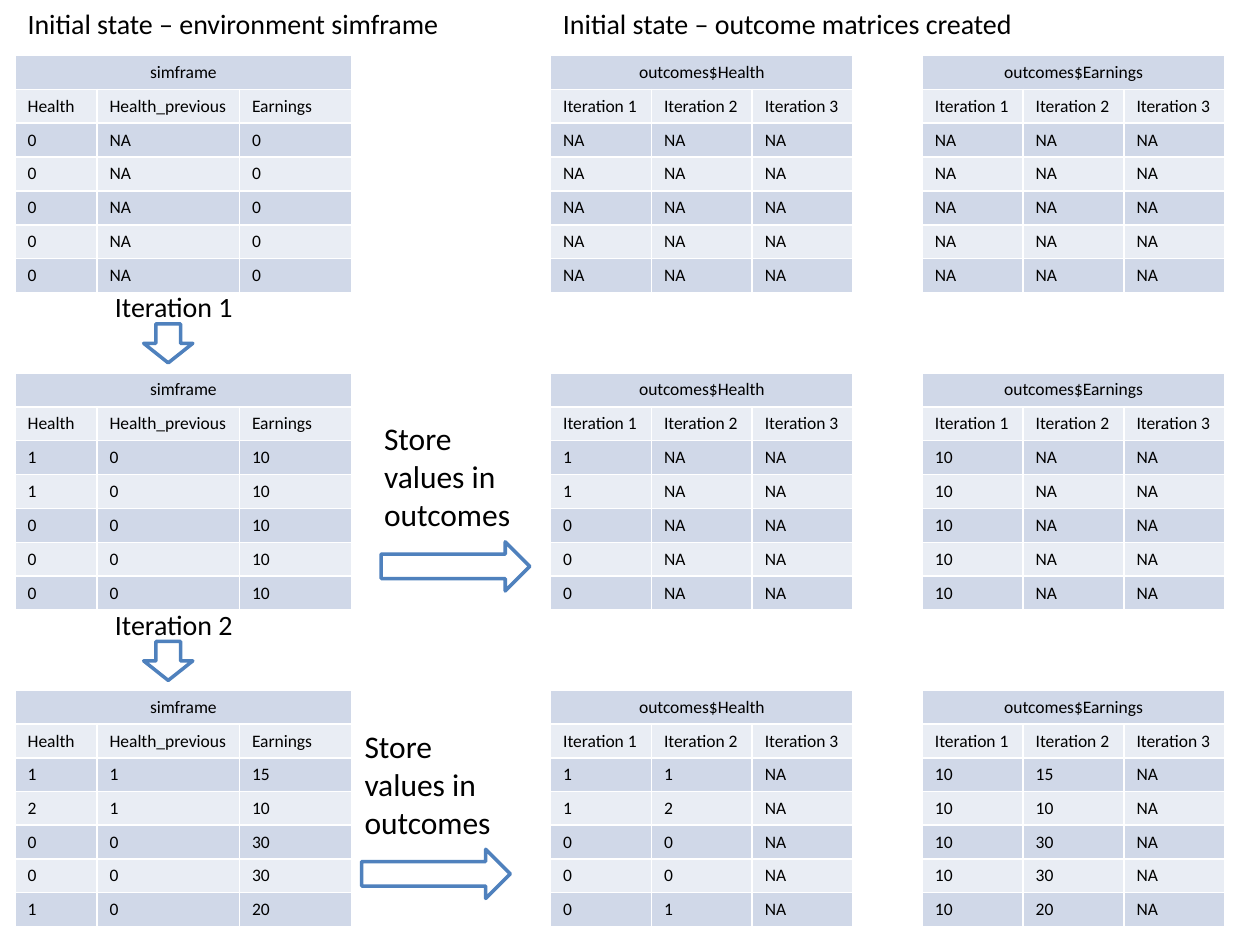
import pptx
import pptx.dml.color
import pptx.enum.shapes
import pptx.enum.text
import pptx.oxml
import pptx.oxml.ns
import pptx.util

COLORS = {"dark_band": "D0D8E8", "light_band": "E9EDF4", "white": "FFFFFF",
          "text": "000000", "arrow": "4F81BD"}
COLUMNS, ROWS = 100, 75
ALIGN = pptx.enum.text.PP_ALIGN
SHAPE = pptx.enum.shapes.MSO_SHAPE


def color(name):
    return pptx.dml.color.RGBColor.from_string(COLORS[name])


class SlideBuilder:
    font_name = "Calibri"

    def __init__(self, presentation):
        self.slide = presentation.slides.add_slide(presentation.slide_layouts[6])
        self.column = presentation.slide_width / COLUMNS
        self.row = presentation.slide_height / ROWS

    def box(self, left, top, width, height):
        return (round(left * self.column), round(top * self.row),
                round(width * self.column), round(height * self.row))

    def style(self, paragraph, size, alignment=ALIGN.LEFT):
        paragraph.alignment = alignment
        paragraph.font.name = self.font_name
        paragraph.font.size = pptx.util.Pt(size)
        paragraph.font.color.rgb = color("text")

    def text(self, parent, text, box, size, alignment=ALIGN.LEFT):
        frame = parent.shapes.add_textbox(*self.box(*box)).text_frame
        frame.word_wrap = True
        frame.auto_size = pptx.enum.text.MSO_AUTO_SIZE.SHAPE_TO_FIT_TEXT
        frame.text = text
        self.style(frame.paragraphs[0], size, alignment)

    def arrow(self, parent, kind, box):
        shape = parent.shapes.add_shape(kind, *self.box(*box))
        shape.shadow.inherit = False
        shape.fill.solid()
        shape.fill.fore_color.rgb = color("white")
        shape.line.color.rgb = color("arrow")
        shape.line.width = pptx.util.Pt(2)

    def iteration_step(self, text, top):
        group = self.slide.shapes.add_group_shape()
        self.text(group, text, (2.8, top, 22, 3.7), 16, ALIGN.CENTER)
        self.arrow(group, SHAPE.DOWN_ARROW, (11.4, top + 3.2, 3.9, 3.1))

    def store_step(self, left, top):
        group = self.slide.shapes.add_group_shape()
        self.text(group, "Store values in outcomes", (left, top, 12.6, 10.1), 18)
        self.arrow(group, SHAPE.RIGHT_ARROW, (left + 0.75, top + 10.2, 11.8, 3.9))

    def cell(self, cell, text, fill, alignment):
        cell.text = str(text)
        self.style(cell.text_frame.paragraphs[0], 10, alignment)
        properties = cell._tc.get_or_add_tcPr()
        for side in ("lnL", "lnR", "lnT", "lnB"):
            properties.append(pptx.oxml.parse_xml(
                f'<a:{side} {pptx.oxml.ns.nsdecls("a")} w="12700"><a:solidFill>'
                f'<a:srgbClr val="{COLORS["white"]}"/></a:solidFill></a:{side}>'))
        cell.fill.solid()
        cell.fill.fore_color.rgb = color(fill)

    def table(self, left, top, widths, title, headings, records):
        lines = [(title, "", ""), headings, *records]
        row_height = 2.67
        box = self.box(left, top, sum(widths), row_height * len(lines))
        table = self.slide.shapes.add_table(len(lines), len(widths), *box).table
        table.first_row = table.horz_banding = False
        for column, width in zip(table.columns, widths):
            column.width = round(width * self.column)
        for index, values in enumerate(lines):
            table.rows[index].height = round(row_height * self.row)
            fill = "light_band" if index % 2 else "dark_band"
            alignment = ALIGN.LEFT if index else ALIGN.CENTER
            for position, value in enumerate(values):
                self.cell(table.cell(index, position), value, fill, alignment)
        table.cell(0, 0).merge(table.cell(0, len(widths) - 1))


UNSET = ["NA"] * 5
STATES = [
    {"Health": [0] * 5, "Health_previous": UNSET, "Earnings": [0] * 5},
    {"Health": [1, 1, 0, 0, 0], "Health_previous": [0] * 5, "Earnings": [10] * 5},
    {"Health": [1, 2, 0, 0, 1], "Health_previous": [1, 1, 0, 0, 0],
     "Earnings": [15, 10, 30, 30, 20]},
]
OUTCOMES = {"Health": 43.7, "Earnings": 73.2}
ITERATIONS = [f"Iteration {number}" for number in (1, 2, 3)]
FIRST_TOP, STAGE_STEP = 4.4, 25.2

presentation = pptx.Presentation()
presentation.slide_width = pptx.util.Inches(10)
presentation.slide_height = pptx.util.Inches(7.5)
builder = SlideBuilder(presentation)

for stage, state in enumerate(STATES):
    top = FIRST_TOP + stage * STAGE_STEP
    builder.table(1.2, top, (6.5, 11.3, 8.9), "simframe", list(state), zip(*state.values()))
    for name, left in OUTCOMES.items():
        stored = [past[name] for past in STATES[1:stage + 1]]
        history = stored + [UNSET] * (len(ITERATIONS) - stage)
        builder.table(left, top, (8, 8, 8), f"outcomes${name}", ITERATIONS, zip(*history))
    if stage:
        builder.iteration_step(ITERATIONS[stage - 1], top - 7.1)

for left, top in ((29.5, 32.8), (27.95, 57.2)):
    builder.store_step(left, top)

builder.text(builder.slide, "Initial state – environment simframe", (1.2, 0, 37.8, 3.7), 16)
builder.text(builder.slide, "Initial state – outcome matrices created", (43.7, 0, 43.3, 3.7), 16)

presentation.save("out.pptx")
